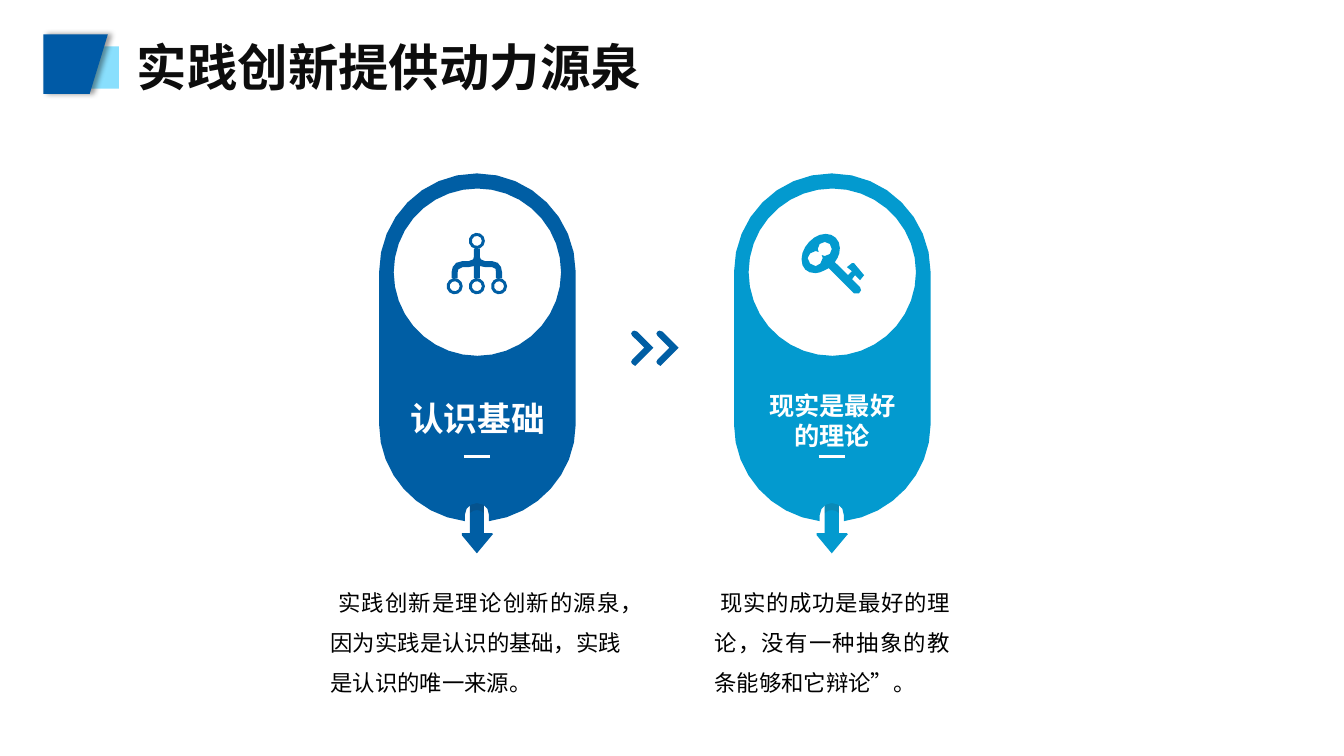
import math
from dataclasses import dataclass

from lxml import etree
from pptx import Presentation
from pptx import util as u
from pptx.dml import color
from pptx.enum import shapes, text
from pptx.oxml import ns

PX = 9144


@dataclass(frozen=True)
class Theme:
    navy: str = "005EA4"
    cyan: str = "039ACF"
    badge: str = "005AA6"
    badge_back: str = "89DFFD"
    white: str = "FFFFFF"
    black: str = "000000"
    title_ink: str = "0D0D0D"
    navy_shade: str = "231815"
    cyan_shade: str = "333333"
    label_font: str = "Arial"
    text_font: str = "Noto Sans CJK SC"
    title_size: int = 36
    long_label_size: int = 18
    short_label_size: int = 24
    body_size: int = 16
    dash_width: float = 1.75


THEME = Theme()

PILL = [(97, 0), (43, 0, 0, 44, 0, 98), (0, 249), (0, 298, 37, 339, 85, 345), (85, 339),
        (85, 332, 91, 327, 97, 327), (104, 327, 109, 332, 109, 339), (109, 345),
        (157, 339, 195, 298, 195, 249), (195, 98), (195, 44, 151, 0, 97, 0)]
ARROW = [(104, 326), (104, 357), (112, 357), (113, 358), (112, 359), (97, 377),
         (82, 359), (82, 357), (90, 357), (90, 326)]
ARROW_SHADE = [(104, 326), (104, 337), (102, 335, 100, 334, 97, 334),
               (95, 334, 92, 335, 90, 337), (90, 326)]
CHEVRON = [(4, 36), (1, 34), (0, 32), (1, 30), (13, 18), (1, 6), (0, 4), (1, 2),
           (3, 1), (6, 2), (22, 18), (6, 34)]
BRANCHES = [(100, 75), (100, 83), (100, 84, 101, 87, 105, 87), (112, 87),
            (119, 87, 122, 93, 122, 98), (122, 104), (116, 104), (116, 98),
            (116, 96, 116, 93, 112, 93), (105, 93), (100, 92),
            (100, 104), (94, 104), (94, 92), (89, 93), (83, 93),
            (78, 93, 78, 97, 78, 98), (78, 104), (72, 104), (72, 98),
            (72, 93, 75, 87, 83, 87), (89, 87), (94, 87, 94, 84, 94, 83), (94, 75)]
KEY = [(94, 94), (90, 96, 85, 99, 81, 99), (72, 99, 67, 94, 67, 85),
       (67, 73, 79, 60, 91, 60), (99, 60, 105, 66, 105, 74), (105, 80, 103, 84, 100, 88),
       (113, 101), (117, 97), (112, 93), (117, 89), (119, 89), (129, 101), (125, 106),
       (120, 101), (117, 105), (125, 113), (126, 116), (124, 119), (119, 119)]
KEY_HOLE = [(90, 68), (86, 68, 83, 71, 83, 75), (84, 78), (81, 77),
            (77, 77, 73, 81, 73, 84), (73, 88, 77, 92, 81, 92),
            (84, 92, 88, 88, 88, 84), (87, 81), (90, 82),
            (94, 82, 97, 79, 97, 75), (97, 71, 94, 68, 90, 68)]


def rgb(value):
    return color.RGBColor.from_string(value)


def trace(steps):
    points = [steps[0]]
    for step in steps[1:]:
        if len(step) == 2:
            points.append(step)
            continue
        corners = [points[-1], step[:2], step[2:4], step[4:]]
        divisions = min(8, math.ceil(math.dist(corners[0], corners[3]) / 6))
        for index in range(1, divisions + 1):
            t = index / divisions
            weights = ((1 - t) ** 3, 3 * t * (1 - t) ** 2, 3 * t * t * (1 - t), t ** 3)
            points.append(tuple(sum(w * corner[axis] for w, corner in zip(weights, corners))
                                for axis in (0, 1)))
    return points


def circle(x, y, radius):
    divisions = round(4 * math.sqrt(radius))
    angles = [2 * math.pi * index / divisions for index in range(divisions)]
    return [(x + radius * math.cos(a), y + radius * math.sin(a)) for a in angles]


def paint(shape, fill):
    shape.shadow.inherit = False
    shape.fill.solid()
    shape.fill.fore_color.rgb = rgb(fill)
    shape.line.fill.background()
    return shape


def add_outline(slide, left, top, contours, fill):
    builder = None
    for contour in contours:
        points = [((left + x) * PX, (top + y) * PX) for x, y in contour]
        if builder is None:
            builder = slide.shapes.build_freeform(*points[0], scale=1.0)
        else:
            builder.move_to(*points[0])
        builder.add_line_segments(points[1:], close=True)
    return paint(builder.convert_to_shape(), fill)


def add_text(slide, box, content, font_name, size, ink, bold=False, wrap=True,
             align=text.PP_ALIGN.LEFT, line_spacing=None):
    shape = slide.shapes.add_textbox(*(value * PX for value in box))
    frame = shape.text_frame
    frame.word_wrap = wrap
    frame.auto_size = text.MSO_AUTO_SIZE.SHAPE_TO_FIT_TEXT
    frame.text = content
    paragraph = frame.paragraphs[0]
    paragraph.alignment = align
    paragraph.line_spacing = line_spacing
    font = paragraph.runs[0].font
    font.name, font.size, font.bold = font_name, u.Pt(size), bold
    font.color.rgb = rgb(ink)
    east_asian = etree.SubElement(font._element, ns.qn("a:ea"))
    east_asian.set("typeface", THEME.text_font)


def add_header(slide, left, top):
    back = slide.shapes.add_shape(shapes.MSO_SHAPE.RECTANGLE, (left + 26) * PX,
                                  (top + 12) * PX, 49 * PX, 42 * PX)
    paint(back, THEME.badge_back)
    badge = add_outline(slide, left, top, [[(0, 0), (64, 0), (46, 59), (0, 59)]], THEME.badge)
    effects = badge._element.spPr.find(ns.qn("a:effectLst"))
    shadow = etree.SubElement(effects, ns.qn("a:outerShdw"), blurRad=str(int(u.Pt(4))),
                              dist=str(int(u.Pt(3))), dir="0", algn="l", rotWithShape="0")
    shade = etree.SubElement(shadow, ns.qn("a:srgbClr"), val=THEME.black)
    etree.SubElement(shade, ns.qn("a:alpha"), val="40000")
    add_text(slide, (left + 83, top - 3, 520, 71), "实践创新提供动力源泉", THEME.text_font,
             THEME.title_size, THEME.title_ink, bold=True, wrap=False)


def add_card(slide, left, top, fill, shade, icon, label, label_size, label_top, label_height):
    add_outline(slide, left, top, [ARROW], fill)
    tint = add_outline(slide, left, top, [trace(ARROW_SHADE)], shade)
    tint_colour = tint._element.spPr.find(ns.qn("a:solidFill"))[0]
    etree.SubElement(tint_colour, ns.qn("a:alpha"), val="15000")
    add_outline(slide, left, top, [trace(PILL), circle(97.5, 98, 83)], fill)
    add_outline(slide, left, top, icon, fill)
    add_text(slide, (left + 15, top + label_top, 165, label_height), label, THEME.label_font,
             label_size, THEME.white, bold=True, align=text.PP_ALIGN.CENTER)
    dash = slide.shapes.add_connector(shapes.MSO_CONNECTOR.STRAIGHT, (left + 84) * PX,
                                      (top + 281) * PX, (left + 110) * PX, (top + 281) * PX)
    dash.line.color.rgb = rgb(THEME.white)
    dash.line.width = u.Pt(THEME.dash_width)
    etree.SubElement(dash._element.spPr, ns.qn("a:effectLst"))


def add_chevrons(slide, left, top):
    for offset in (25, 0):
        add_outline(slide, left + offset, top, [CHEVRON], THEME.navy)


def add_body(slide, left, top, width, content):
    add_text(slide, (left, top, width, 131), content, THEME.text_font, THEME.body_size,
             THEME.black, align=text.PP_ALIGN.JUSTIFY, line_spacing=1.5)


def main():
    presentation = Presentation()
    presentation.slide_width, presentation.slide_height = 1333 * PX, 750 * PX
    slide = presentation.slides.add_slide(presentation.slide_layouts[6])
    nodes = [(97, 67), (75, 112), (97, 112), (119, 112)]
    network = [trace(BRANCHES)] + [circle(x, y, r) for x, y in nodes for r in (8, 5)]
    key = [trace(KEY), trace(KEY_HOLE)]
    add_header(slide, 43, 34)
    add_chevrons(slide, 626, 327)
    add_card(slide, 376, 172, THEME.navy, THEME.navy_shade, network, "认识基础",
             THEME.short_label_size, 218, 50)
    add_card(slide, 728, 172, THEME.cyan, THEME.cyan_shade, key, "现实是最好的理论",
             THEME.long_label_size, 210, 71)
    add_body(slide, 318, 566, 308, " 实践创新是理论创新的源泉，因为实践是认识的基础，实践是认识的唯一来源。")
    add_body(slide, 699, 566, 253, " 现实的成功是最好的理论，没有一种抽象的教条能够和它辩论”。")
    presentation.save("out.pptx")


if __name__ == "__main__":
    main()
